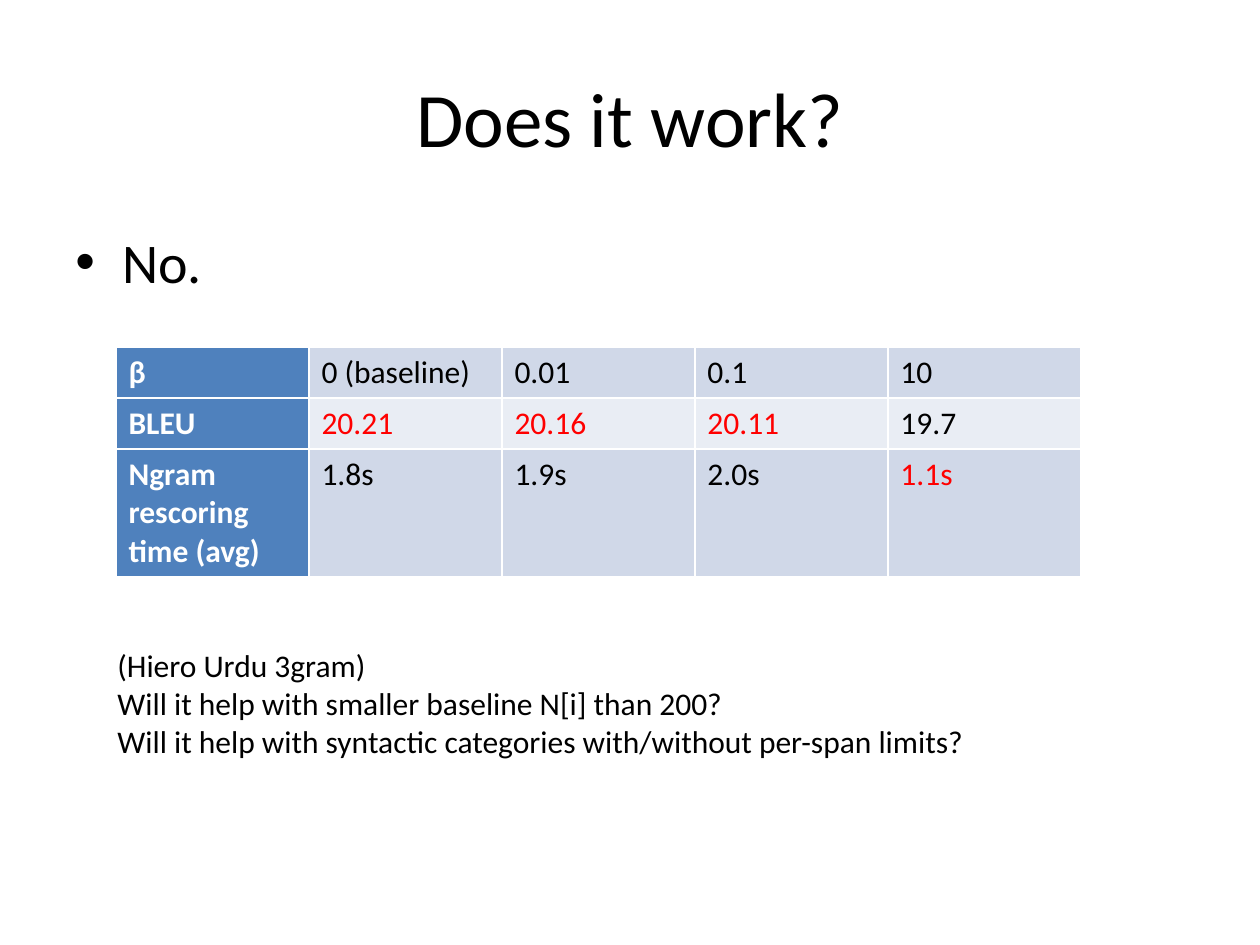
from dataclasses import dataclass

from lxml.etree import SubElement
from pptx import Presentation
from pptx.dml.color import RGBColor
from pptx.enum.text import MSO_ANCHOR, PP_ALIGN
from pptx.oxml.ns import qn
from pptx.util import Pt

EMU_PER_PIXEL = 914400 / 126


@dataclass(frozen=True)
class Theme:
    font: str = "Calibri"
    title_size: int = 44
    answer_size: int = 32
    body_size: int = 18
    ink: str = "000000"
    paper: str = "FFFFFF"
    highlight: str = "FF0000"
    header: str = "4F81BD"
    bands: tuple = ("D0D8E8", "E9EDF4")


THEME = Theme()

RESULTS = [
    ["β", "0 (baseline)", "0.01", "0.1", "10"],
    ["BLEU", "20.21", "20.16", "20.11", "19.7"],
    ["Ngram rescoring time (avg)", "1.8s", "1.9s", "2.0s", "1.1s"],
]
HIGHLIGHTED = {"20.21", "20.16", "20.11", "1.1s"}
ROW_HEIGHTS = [51, 51, 128]
COLUMN_WIDTH = 193

NOTES = [
    "(Hiero Urdu 3gram)",
    "Will it help with smaller baseline N[i] than 200?",
    "Will it help with syntactic categories with/without per-span limits?",
]


def px(pixels):
    return round(pixels * EMU_PER_PIXEL)


def style(paragraph, size, color=THEME.ink, bold=False):
    font = paragraph.font
    font.name, font.size, font.bold = THEME.font, Pt(size), bold
    font.color.rgb = RGBColor.from_string(color)


def add_text(slide, box, lines, size, wrap=True):
    frame = slide.shapes.add_textbox(*map(px, box)).text_frame
    frame.word_wrap = wrap
    frame.text = "\n".join(lines)
    for paragraph in frame.paragraphs:
        style(paragraph, size)
    return frame


def add_bullet(paragraph, indent):
    properties = paragraph._p.get_or_add_pPr()
    properties.set("marL", str(px(indent)))
    properties.set("indent", str(-px(indent)))
    spacing = SubElement(properties, qn("a:spcBef"))
    SubElement(spacing, qn("a:spcPct"), val="20000")
    SubElement(properties, qn("a:buFont"), typeface="Arial")
    SubElement(properties, qn("a:buChar"), char="•")
    # Text defaults come last in the paragraph properties
    properties.append(properties.find(qn("a:defRPr")))


def add_borders(cell, color):
    properties = cell._tc.get_or_add_tcPr()
    for side in ("lnL", "lnR", "lnT", "lnB"):
        line = SubElement(properties, qn(f"a:{side}"), w=str(Pt(1)))
        fill = SubElement(line, qn("a:solidFill"))
        SubElement(fill, qn("a:srgbClr"), val=color)


def fill_cell(cell, text, color, fill, bold):
    cell.text = text
    style(cell.text_frame.paragraphs[0], THEME.body_size, color, bold)
    add_borders(cell, THEME.paper)
    cell.fill.solid()
    cell.fill.fore_color.rgb = RGBColor.from_string(fill)


def add_results(slide, left, top):
    columns = len(RESULTS[0])
    size = COLUMN_WIDTH * columns, sum(ROW_HEIGHTS)
    results = slide.shapes.add_table(
        len(RESULTS), columns, *map(px, (left, top, *size))).table
    results.first_row, results.first_col = False, True
    for column in results.columns:
        column.width = px(COLUMN_WIDTH)
    for r, (values, height) in enumerate(zip(RESULTS, ROW_HEIGHTS)):
        results.rows[r].height = px(height)
        for c, value in enumerate(values):
            if c == 0:
                color, fill = THEME.paper, THEME.header
            else:
                color = THEME.highlight if value in HIGHLIGHTED else THEME.ink
                fill = THEME.bands[r % 2]
            fill_cell(results.cell(r, c), value, color, fill, bold=c == 0)


def main():
    deck = Presentation()
    deck.slide_width, deck.slide_height = px(1260), px(945)
    slide = deck.slides.add_slide(deck.slide_layouts[6])

    # Question and answer
    question = add_text(slide, (63, 38, 1134, 158), ["Does it work?"],
                        THEME.title_size)
    question.vertical_anchor = MSO_ANCHOR.MIDDLE
    question.paragraphs[0].alignment = PP_ALIGN.CENTER
    answer = add_text(slide, (63, 221, 1134, 116), ["No."], THEME.answer_size)
    add_bullet(answer.paragraphs[0], indent=47)

    # Measurements
    add_results(slide, 116, 347)

    # Setup and open questions
    add_text(slide, (105, 640, 882, 127), NOTES, THEME.body_size, wrap=False)

    deck.save("out.pptx")


main()
